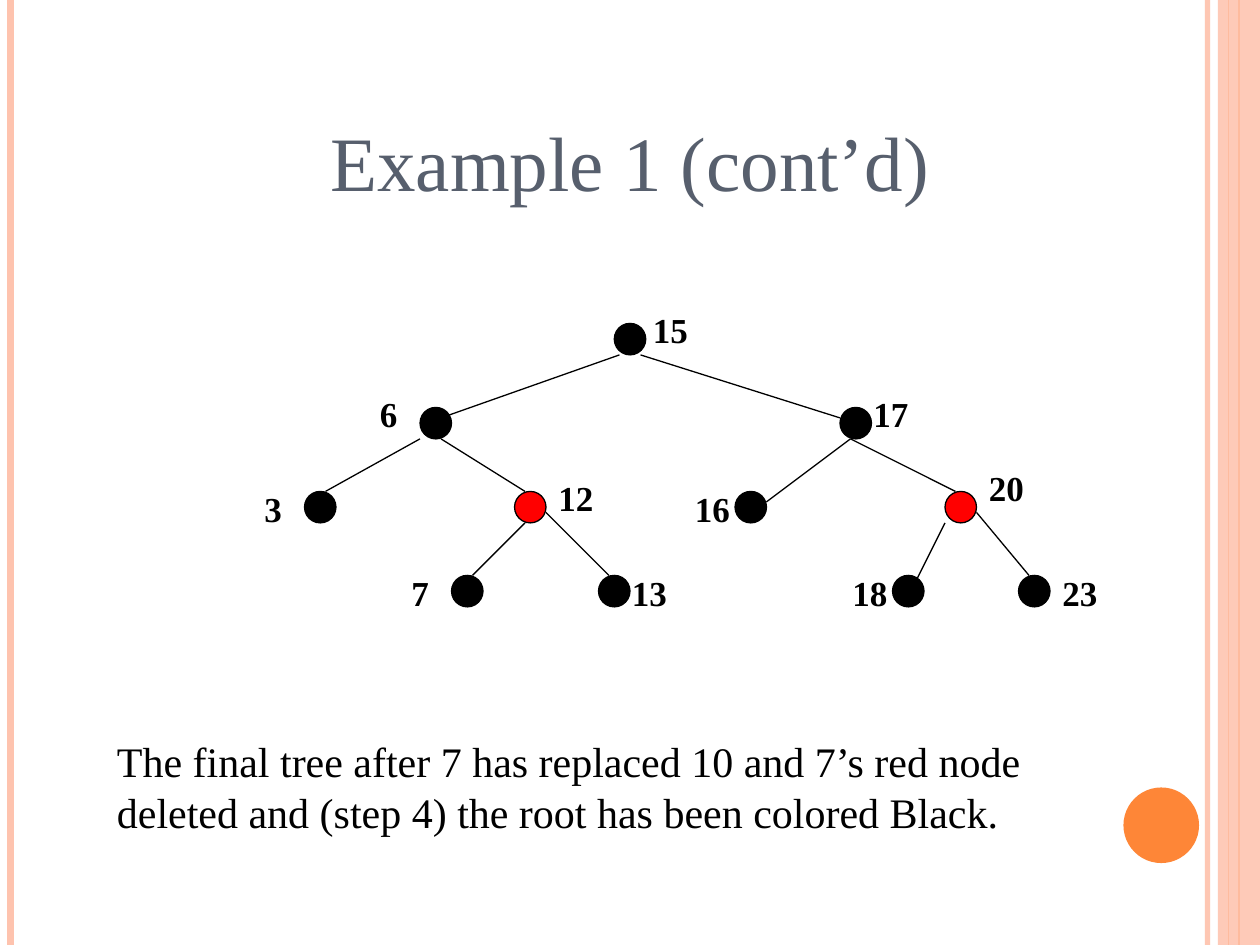
"""Build the slide with the final red-black tree of example 1."""
from lxml import etree
from pptx import Presentation
from pptx.dml.color import RGBColor
from pptx.enum.shapes import MSO_CONNECTOR, MSO_SHAPE
from pptx.enum.text import MSO_ANCHOR, PP_ALIGN
from pptx.oxml.ns import qn
from pptx.util import Inches, Pt

STRAIGHT = MSO_CONNECTOR.STRAIGHT
ELLIPSE, RECTANGLE = MSO_SHAPE.OVAL, MSO_SHAPE.RECTANGLE
MIDDLE, CENTER = MSO_ANCHOR.MIDDLE, PP_ALIGN.CENTER
THEME = {
    "font": "Times New Roman",
    "title_size": 44, "body_size": 24, "label_size": 20,
    "title": RGBColor(0x57, 0x5F, 0x6D),
    "black": RGBColor(0, 0, 0),
    "red": RGBColor(255, 0, 0),
    "peach": RGBColor(0xFE, 0xC3, 0xAE),
    "orange": RGBColor(0xFE, 0x86, 0x37),
}

presentation = Presentation()
presentation.slide_width, presentation.slide_height = Inches(10), Inches(7.5)
slide = presentation.slides.add_slide(presentation.slide_layouts[5])
shapes = slide.shapes
UNIT = presentation.slide_width / 120
TREE_TOP = 30.8
LEVEL_HEIGHT = 8
NODE_SIZE = 3


def add_line(start_x, start_y, end_x, end_y, color, width):
    ends = [round(value * UNIT) for value in (start_x, start_y, end_x, end_y)]
    line = shapes.add_connector(STRAIGHT, *ends)
    line.line.color.rgb = THEME[color]
    line.line.width = Pt(width)
    etree.SubElement(line._element.spPr, qn("a:effectLst"))
    return line


def write_text(shape, text, size, color, bold=False):
    text_frame = shape.text_frame
    text_frame.word_wrap = True
    text_frame.text = text
    font = text_frame.paragraphs[0].runs[0].font
    font.name, font.size, font.bold = THEME["font"], Pt(THEME[size]), bold
    font.color.rgb = THEME[color]


for column, color, width, opacity in [
    (115, "peach", 3, 93), (1, "peach", 4.5, 100),
    (118, "orange", 1.5, 100), (117, "orange", 0.75, 100),
]:
    stripe = add_line(column, 0, column, 90, color, width)
    if opacity < 100:
        fill_color = stripe._element.spPr.find(".//" + qn("a:srgbClr"))
        etree.SubElement(fill_color, qn("a:alpha"), val=str(opacity * 1000))

for kind, left, top, width, height, color, opacity in [
    (RECTANGLE, 116, 0, 4, 90, "peach", 87),
    (ELLIPSE, 107, 75, 7.2, 7.2, "orange", 100),
]:
    decoration = shapes.add_shape(
        kind, *[round(value * UNIT) for value in (left, top, width, height)])
    decoration.shadow.inherit = False
    decoration.fill.solid()
    decoration.fill.fore_color.rgb = THEME[color]
    decoration.line.fill.background()
    if opacity < 100:
        fill_color = decoration._element.spPr.find(".//" + qn("a:srgbClr"))
        etree.SubElement(fill_color, qn("a:alpha"), val=str(opacity * 1000))

title = shapes.title
title.left, title.top, title.width, title.height = [
    Inches(value) for value in (0.75, 0.65, 8.5, 1.25)]
write_text(title, "Example 1 (cont’d)", "title_size", "title")
title.text_frame.vertical_anchor = MIDDLE
title.text_frame.paragraphs[0].alignment = CENTER

for key, level, column, color, label_column, label_shift in [
    ("15", 0, 58.5, "black", 61, 0),
    ("6", 1, 40, "black", 35, 0),
    ("17", 1, 80, "black", 82, 0),
    ("3", 2, 29, "black", 24, 1),
    ("12", 2, 49, "red", 52, 0),
    ("16", 2, 70, "black", 65, 1),
    ("20", 2, 90, "red", 93, -1),
    ("7", 3, 43, "black", 38, 1),
    ("13", 3, 57, "black", 59, 1),
    ("18", 3, 85, "black", 80, 1),
    ("23", 3, 97, "black", 100, 1),
]:
    node_top = TREE_TOP + level * LEVEL_HEIGHT
    node = shapes.add_shape(
        ELLIPSE, *[round(value * UNIT) for value in (column, node_top, NODE_SIZE, NODE_SIZE)])
    node.shadow.inherit = False
    node.fill.solid()
    node.fill.fore_color.rgb = THEME[color]
    node.line.color.rgb = THEME["black"]
    node.line.width = Pt(0.75)
    label_top = node_top - 2 + label_shift
    label = shapes.add_textbox(
        *[round(value * UNIT) for value in (label_column, label_top, 6, 5.2)])
    write_text(label, key, "label_size", "black", bold=True)

for start_x, start_y, end_x, end_y in [
    (59, 3, 42, 9), (61, 3, 80, 9),
    (40, 11, 31, 16), (42, 11, 50, 16),
    (81, 11, 73, 17), (81, 11, 91, 16),
    (50, 19, 45, 24), (52, 18, 58, 24),
    (90, 19, 87, 25), (93, 18, 98, 24),
]:
    add_line(start_x, TREE_TOP + start_y, end_x, TREE_TOP + end_y, "black", 0.75)

caption = shapes.add_textbox(Inches(0.83), Inches(5.79), Inches(8.25), Inches(0.9))
write_text(
    caption,
    "The final tree after 7 has replaced 10 and 7’s red node deleted "
    "and (step 4) the root has been colored Black.",
    "body_size", "black")

presentation.save("out.pptx")
